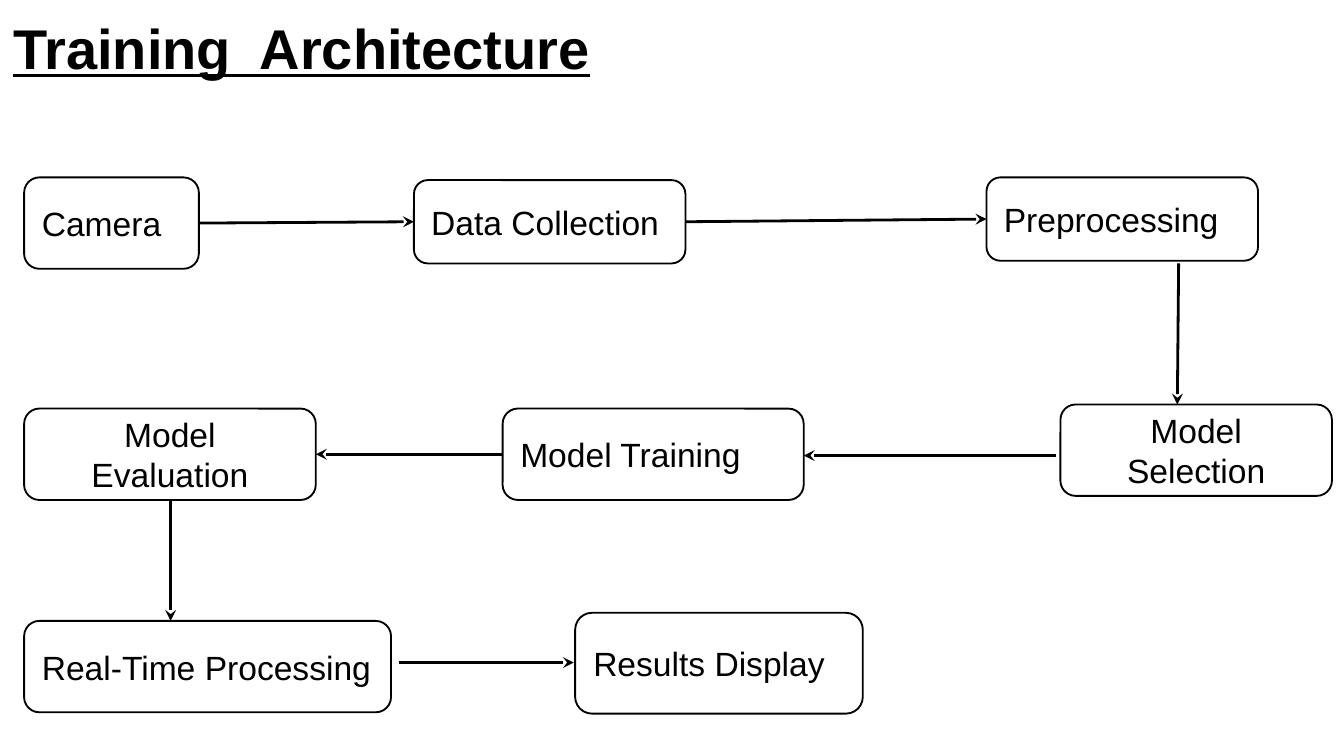
"""Build the training architecture flow slide on a grid of 100 columns."""
import pptx
import pptx.dml.color
import pptx.enum.shapes
import pptx.enum.text
import pptx.oxml
import pptx.oxml.ns
import pptx.util

BLACK = pptx.dml.color.RGBColor(0, 0, 0)
WHITE = pptx.dml.color.RGBColor(255, 255, 255)
FONT = "Arial"
WIDTH = pptx.util.Inches(10)
HEIGHT = WIDTH * 9 // 16
LEFT = pptx.enum.text.PP_ALIGN.LEFT
CENTER = pptx.enum.text.PP_ALIGN.CENTER
WEST, EAST = 1, 3

BOXES = [
    ("Camera", 1.8, 13.2, 13, 6.8, LEFT),
    ("Data Collection", 30.8, 13.4, 20.2, 6.2, LEFT),
    ("Preprocessing", 73.4, 13.2, 20.2, 6.2, LEFT),
    ("Model Selection", 78.9, 30.1, 20.2, 6.8, CENTER),
    ("Model Training", 37.4, 30.4, 22.4, 6.8, LEFT),
    ("Model Evaluation", 1.8, 30.4, 21.7, 6.8, CENTER),
    ("Real-Time Processing", 1.8, 46.2, 27.3, 6.8, LEFT),
    ("Results Display", 42.8, 45.6, 21.4, 7.5, LEFT),
]
LINKS = [
    ("Camera", EAST, "Data Collection", WEST),
    ("Data Collection", EAST, "Preprocessing", WEST),
    ("Model Training", WEST, "Model Evaluation", EAST),
]
ARROWS = [
    (87.7, 19.6, 87.6, 30.1),
    (78.6, 33.9, 59.8, 33.9),
    (12.7, 37.2, 12.7, 46.2),
    (29.7, 49.3, 42.7, 49.3),
]


def grid(*units):
    """Turn grid units into slide lengths."""
    return [round(WIDTH * unit / 100) for unit in units]


def write(para, text, size, bold=False, under=False):
    """Add one black run to a paragraph."""
    run = para.add_run()
    run.text = text
    font = run.font
    font.name, font.size = FONT, pptx.util.Pt(size)
    font.bold, font.underline = bold, under
    font.color.rgb = BLACK


def add_title(slide, text):
    """Place the underlined title at the top left."""
    title = slide.shapes.title
    title.left, title.top, title.width, title.height = grid(0, 0, 47.4, 6.3)
    frame = title.text_frame
    frame.auto_size = pptx.enum.text.MSO_AUTO_SIZE.NONE
    frame.vertical_anchor = pptx.enum.text.MSO_ANCHOR.TOP
    inset = pptx.util.Inches(0.1)
    frame.margin_left = frame.margin_right = inset
    frame.margin_top = frame.margin_bottom = inset
    para = frame.paragraphs[0]
    para.alignment = LEFT
    write(para, text, 30, bold=True, under=True)


def add_box(slide, text, left, top, width, height, align):
    """Add one rounded step of the flow."""
    kind = pptx.enum.shapes.MSO_SHAPE.ROUNDED_RECTANGLE
    box = slide.shapes.add_shape(kind, *grid(left, top, width, height))
    box.shadow.inherit = False
    box.fill.solid()
    box.fill.fore_color.rgb = WHITE
    box.line.color.rgb = BLACK
    box.line.width = pptx.util.Pt(1)
    frame = box.text_frame
    frame.word_wrap = True
    frame.vertical_anchor = pptx.enum.text.MSO_ANCHOR.MIDDLE
    para = frame.paragraphs[0]
    para.alignment = align
    write(para, text, 18)
    return box


def add_arrow(slide, *ends):
    """Add a straight line with a stealth head."""
    kind = pptx.enum.shapes.MSO_CONNECTOR.STRAIGHT
    arrow = slide.shapes.add_connector(kind, *grid(*ends))
    arrow.line.color.rgb = BLACK
    arrow.line.width = pptx.util.Pt(1.5)
    space = pptx.oxml.ns.nsdecls("a")
    props = arrow._element.spPr
    head = pptx.oxml.parse_xml(f'<a:tailEnd {space} type="stealth"/>')
    props.find(pptx.oxml.ns.qn("a:ln")).append(head)
    props.append(pptx.oxml.parse_xml(f"<a:effectLst {space}/>"))
    return arrow


def add_link(slide, start, exit, end, entry):
    """Join two boxes with a glued arrow."""
    arrow = add_arrow(slide, 0, 0, 0, 0)
    arrow.begin_connect(start, exit)
    arrow.end_connect(end, entry)


def main():
    """Build and save the slide."""
    deck = pptx.Presentation()
    deck.slide_width, deck.slide_height = WIDTH, HEIGHT
    slide = deck.slides.add_slide(deck.slide_layouts.get_by_name("Title Only"))
    add_title(slide, "Training  Architecture")
    steps = {row[0]: add_box(slide, *row) for row in BOXES}
    for start, exit, end, entry in LINKS:
        add_link(slide, steps[start], exit, steps[end], entry)
    for ends in ARROWS:
        add_arrow(slide, *ends)
    deck.save("out.pptx")


if __name__ == "__main__":
    main()
